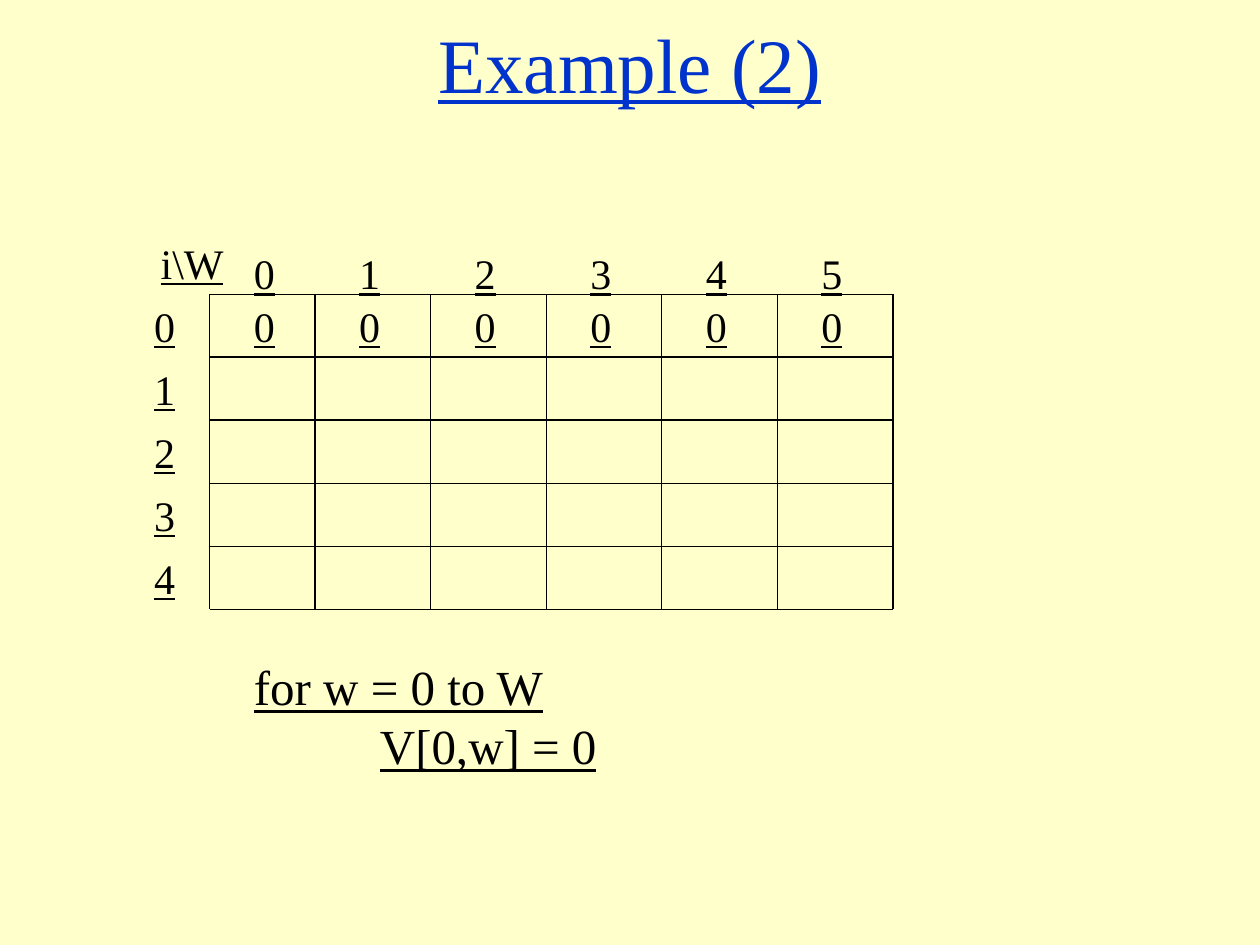
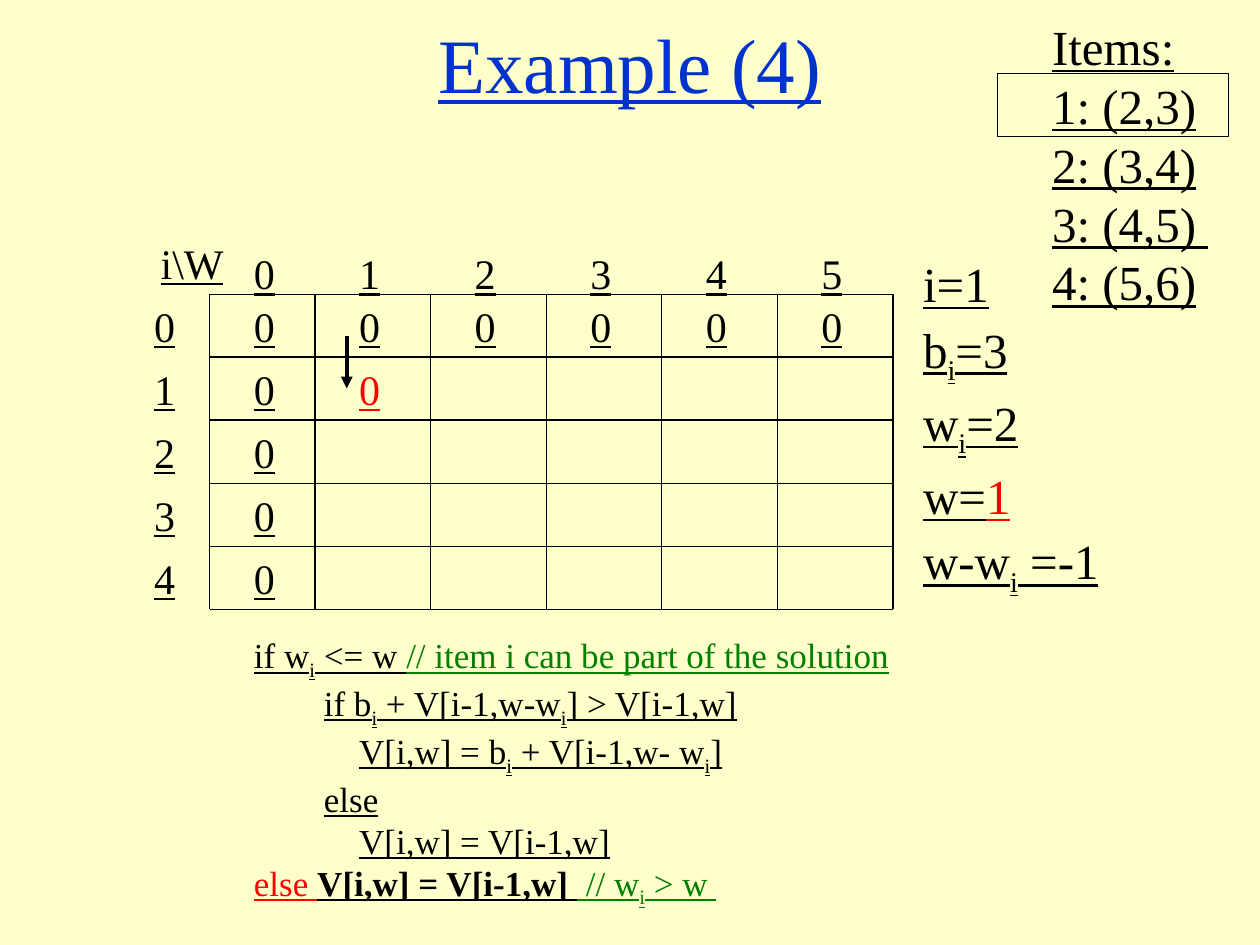
from dataclasses import dataclass
from itertools import accumulate

from pptx import Presentation
from pptx.dml.color import RGBColor
from pptx.enum.shapes import MSO_CONNECTOR, MSO_SHAPE
from pptx.enum.text import MSO_ANCHOR, MSO_AUTO_SIZE, PP_ALIGN
from pptx.oxml.ns import qn
from pptx.util import Cm, Pt

STRAIGHT = MSO_CONNECTOR.STRAIGHT
RECTANGLE = MSO_SHAPE.RECTANGLE
MIDDLE = MSO_ANCHOR.MIDDLE
GROW, FIXED = MSO_AUTO_SIZE.SHAPE_TO_FIT_TEXT, MSO_AUTO_SIZE.NONE
LEFT, CENTER = PP_ALIGN.LEFT, PP_ALIGN.CENTER
BLANK_LAYOUT = 6


@dataclass(frozen=True)
class Theme:
    font: str = "Times New Roman"
    background: str = "FFFFCC"
    title: str = "0033CC"
    ink: str = "000000"
    highlight: str = "FF0000"
    comment: str = "008000"
    title_size: float = 44
    body_size: float = 28
    cell_size: float = 24
    code_size: float = 20
    thin: float = 0.75
    thick: float = 2.25


THEME = Theme()

# Grid geometry in centimetres
GRID_TOP, ROW_HEIGHT, ROW_COUNT = 5.93, 1.27, 5
COLUMN_EDGES = list(accumulate([4.23, 2.12] + [2.33] * 5))
ROW_EDGES = [GRID_TOP + ROW_HEIGHT * row for row in range(ROW_COUNT + 1)]
CELL_INSET, CELL_WIDTH = 0.64, 0.94
HEADER_TOP, ROW_LABEL_LEFT = 4.87, 2.86
CODE_LEFT = 4.87


@dataclass
class Line:
    """One paragraph; a piece is (text, colour, bold), and "_" marks a subscript."""
    pieces: list
    indent: float = 0


def plain(text, indent=0):
    return Line([(text, THEME.ink, False)], indent)


class Deck:
    def __init__(self, theme):
        self.theme = theme
        self.presentation = Presentation()
        self.presentation.slide_width = Cm(25.4)
        self.presentation.slide_height = Cm(19.05)
        self.slide = None

    def new_slide(self):
        layout = self.presentation.slide_layouts[BLANK_LAYOUT]
        self.slide = self.presentation.slides.add_slide(layout)
        fill = self.slide.background.fill
        fill.solid()
        fill.fore_color.rgb = RGBColor.from_string(self.theme.background)

    def add_run(self, paragraph, text, size, colour, bold, subscript=False):
        run = paragraph.add_run()
        run.text = text
        font = run.font
        font.name, font.size = self.theme.font, Pt(size)
        font.underline, font.bold = True, bold
        font.color.rgb = RGBColor.from_string(colour)
        if subscript:
            run._r.get_or_add_rPr().set("baseline", "-25000")

    def add_piece(self, paragraph, size, text, colour, bold):
        first, *rest = text.split("_")
        if first:
            self.add_run(paragraph, first, size, colour, bold)
        for chunk in rest:
            self.add_run(paragraph, chunk[0], size, colour, bold, subscript=True)
            if chunk[1:]:
                self.add_run(paragraph, chunk[1:], size, colour, bold)

    def text(self, left, top, width, height, lines, size,
             align=LEFT, wrap=True, spacing=None):
        box = self.slide.shapes.add_textbox(Cm(left), Cm(top), Cm(width), Cm(height))
        frame = box.text_frame
        frame.word_wrap = wrap
        frame.auto_size = GROW
        for index, line in enumerate(lines):
            paragraph = frame.add_paragraph() if index else frame.paragraphs[0]
            paragraph.alignment = align
            paragraph.line_spacing = spacing
            if line.indent:
                paragraph._p.get_or_add_pPr().set("marL", str(Cm(line.indent)))
            for piece in line.pieces:
                self.add_piece(paragraph, size, *piece)
        return frame

    def title(self, text):
        line = Line([(text, self.theme.title, False)])
        frame = self.text(0, 0, 25.4, 2.54, [line], self.theme.title_size, CENTER)
        frame.auto_size = FIXED
        frame.vertical_anchor = MIDDLE

    def label(self, left, top, text, colour=None):
        line = Line([(text, colour or self.theme.ink, False)])
        self.text(left, top, CELL_WIDTH, ROW_HEIGHT, [line],
                  self.theme.cell_size, wrap=False)

    def cell(self, row, column, text, colour=None):
        self.label(COLUMN_EDGES[column] + CELL_INSET, ROW_EDGES[row], text, colour)

    def line(self, x1, y1, x2, y2, width, arrow=False):
        connector = self.slide.shapes.add_connector(
            STRAIGHT, Cm(x1), Cm(y1), Cm(x2), Cm(y2))
        connector.line.color.rgb = RGBColor.from_string(self.theme.ink)
        connector.line.width = Pt(width)
        properties = connector._element.spPr
        if arrow:
            outline = properties.find(qn("a:ln"))
            outline.append(outline.makeelement(qn("a:tailEnd"), {"type": "triangle"}))
        properties.append(properties.makeelement(qn("a:effectLst"), {}))

    def frame(self, left, top, width, height):
        shape = self.slide.shapes.add_shape(
            RECTANGLE, Cm(left), Cm(top), Cm(width), Cm(height))
        shape.shadow.inherit = False
        shape.fill.background()
        shape.line.color.rgb = RGBColor.from_string(self.theme.ink)
        shape.line.width = Pt(self.theme.thin)

    def grid(self):
        """Value grid with its headings and the zero row."""
        for x in COLUMN_EDGES:
            self.line(x, ROW_EDGES[0], x, ROW_EDGES[-1], self.theme.thin)
        for y in ROW_EDGES:
            self.line(COLUMN_EDGES[0], y, COLUMN_EDGES[-1], y, self.theme.thin)
        self.text(2.92, 4.66, 1.91, ROW_HEIGHT, [plain("i\\W")],
                  self.theme.cell_size, CENTER)
        for column, x in enumerate(COLUMN_EDGES[:-1]):
            self.label(x + CELL_INSET, HEADER_TOP, str(column))
            self.cell(0, column, "0")
        for row, y in enumerate(ROW_EDGES[:-1]):
            self.label(ROW_LABEL_LEFT, y, str(row))


def build_first_row_slide(deck):
    deck.new_slide()
    deck.title("Example (2)")
    deck.grid()
    # Loop that fills the first row
    deck.text(CODE_LEFT, 13.12, 9.53, 2.62,
              [plain("for w = 0 to W"), plain("V[0,w] = 0", 2.54)],
              THEME.body_size)


def build_first_item_slide(deck):
    ink, red, green = THEME.ink, THEME.highlight, THEME.comment
    deck.new_slide()
    deck.title("Example (4)")

    # Item list with the current item framed
    items = ["Items:", "1: (2,3)", "2: (3,4)", "3: (4,5) ", "4: (5,6)"]
    deck.text(20.96, 0.21, 3.66, 6.2, [plain(item) for item in items],
              THEME.body_size, wrap=False)
    deck.frame(20.11, 1.48, 4.66, 1.27)

    # Grid with the zero column and the new value
    deck.grid()
    for row in range(1, ROW_COUNT):
        deck.cell(row, 0, "0")
    deck.cell(1, 1, "0", red)
    deck.line(6.99, 6.77, 6.99, 7.83, THEME.thick, arrow=True)

    # Current variables
    variables = [
        plain("i=1"), plain("b_i=3"), plain("w_i=2"),
        Line([("w=", ink, False), ("1", red, False)]),
        plain("w-w_i =-1"),
    ]
    deck.text(18.36, 4.87, 4.09, 6.78, variables, THEME.body_size, spacing=1.1)

    # Recurrence with the branch taken
    code = [
        Line([("if w_i <= w ", ink, False),
              ("// item i can be part of the solution", green, False)]),
        plain("if b_i + V[i-1,w-w_i] > V[i-1,w]", 1.41),
        plain("V[i,w] = b_i + V[i-1,w- w_i]", 2.12),
        plain("else", 1.41),
        plain("V[i,w] = V[i-1,w]", 2.12),
        Line([("else ", red, False), ("V[i,w] = V[i-1,w] ", ink, True),
              (" // w_i > w ", green, False)]),
    ]
    deck.text(CODE_LEFT, 12.65, 19.25, 5.33, code, THEME.code_size)


def main():
    deck = Deck(THEME)
    build_first_row_slide(deck)
    build_first_item_slide(deck)
    deck.presentation.save("out.pptx")


if __name__ == "__main__":
    main()
